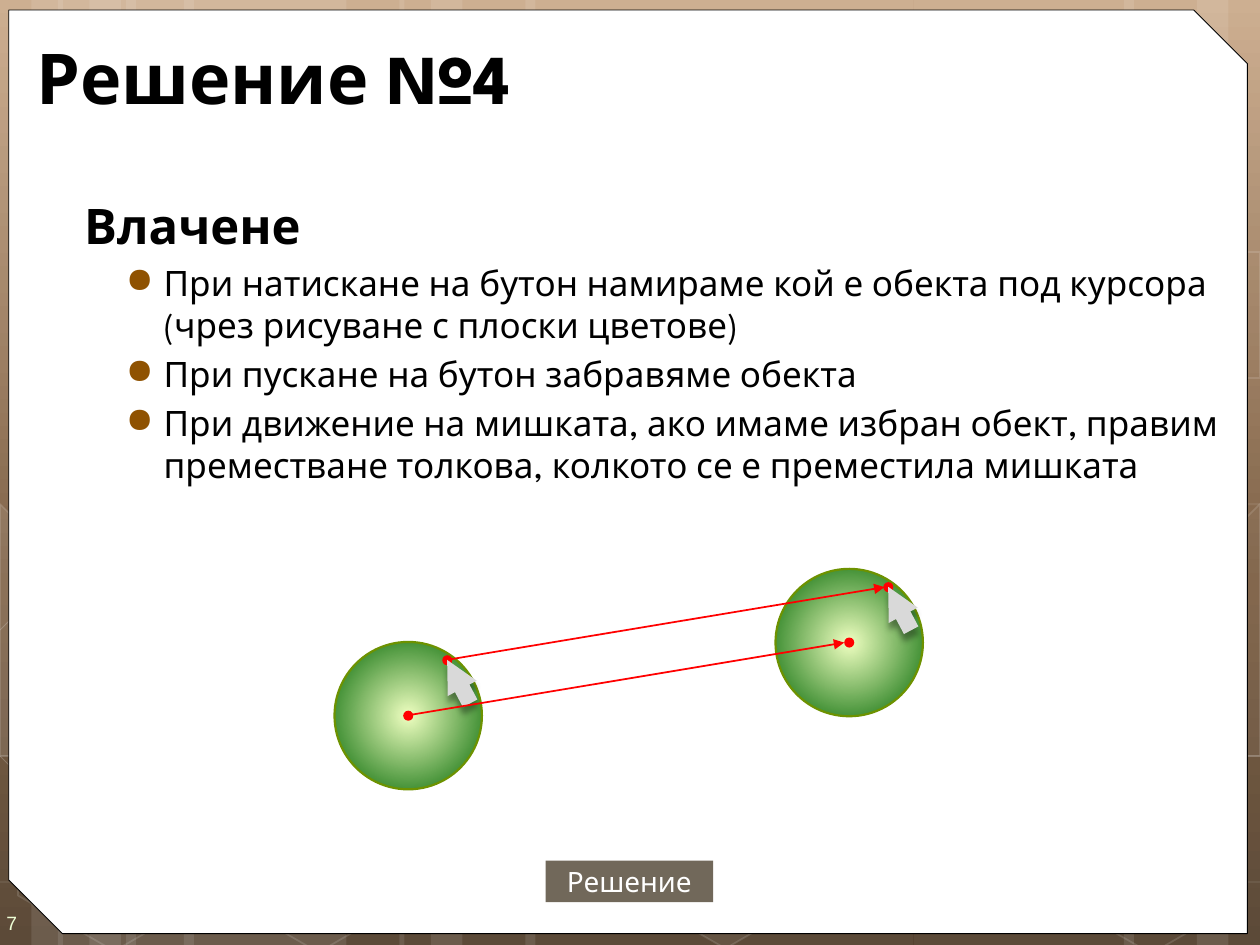
from dataclasses import dataclass
from lxml import etree
from pptx import Presentation
from pptx.dml.color import RGBColor
from pptx.enum.shapes import MSO_CONNECTOR, MSO_SHAPE
from pptx.enum.text import MSO_ANCHOR, PP_ALIGN
from pptx.oxml import parse_xml
from pptx.oxml.ns import qn
from pptx.util import Cm, Pt

RECTANGLE, OVAL, HEXAGON = MSO_SHAPE.RECTANGLE, MSO_SHAPE.OVAL, MSO_SHAPE.HEXAGON
SNIPPED, DOWN_ARROW = MSO_SHAPE.SNIP_2_DIAG_RECTANGLE, MSO_SHAPE.DOWN_ARROW
STRAIGHT = MSO_CONNECTOR.STRAIGHT
TOP, MIDDLE = MSO_ANCHOR.TOP, MSO_ANCHOR.MIDDLE
LEFT, CENTER = PP_ALIGN.LEFT, PP_ALIGN.CENTER
DRAWING = 'xmlns:a="http://schemas.openxmlformats.org/drawingml/2006/main"'

@dataclass(frozen=True)
class Theme:
    font: str = "League Spartan"
    number_font: str = "Arial"
    white: str = "FFFFFF"
    black: str = "000000"
    red: str = "FF0000"
    bullet: str = "8F5201"
    label: str = "71685A"
    number: str = "EEFFD6"
    pointer: str = "D9D9D9"
    ball_line: str = "6D9200"
    ball: tuple = ((0, "EFFFC1"), (100, "006600"))
    backdrop: tuple = ((0, "C8A685"), (62, "705032"), (100, "4A3622"))
    title_size: int = 40
    heading_size: int = 28
    body_size: int = 20
    label_size: int = 16
    number_size: int = 11

@dataclass(frozen=True)
class Hexagon:
    left: float
    top: float
    alpha: int = 0

@dataclass(frozen=True)
class Outline:
    points: tuple
    alpha: int = 0

THEME = Theme()
WIDTH, HEIGHT = 10, 7.5
# Backdrop: translucent bands (left, width), hexagons and curves
BANDS = ((1, 1.75), (0, 0.5), (0.25, 0.83), (1.46, 1.75), (0.46, 0.5), (0.71, 0.83),
         (7.25, 1.75), (9.5, 0.5), (8.92, 0.83), (4.17, 3.08), (3.17, 0.5), (3.42, 0.83))
HEXAGONS = (Hexagon(4.88, 5.89, 6), Hexagon(0.03, 5.91), Hexagon(1.65, 5.92), Hexagon(8.26, 5.93))
CUT_HEXAGONS = (
    Outline(((0, 4.45), (0.11, 4.38), (0.87, 4.82), (0.87, 5.7), (0.12, 6.14), (0, 6.07)), 10),
    Outline(((9.18, 4.85), (9.93, 4.41), (10, 4.46), (10, 6.13), (9.94, 6.17), (9.17, 5.73)), 4),
    Outline(((9.18, 2.07), (9.93, 1.63), (10, 1.68), (10, 3.35), (9.94, 3.39), (9.17, 2.95))),
)
CURVES = (
    ((0, 6.73), (1.82, 6.78), (4.5, 6.65), (7.83, 6.17), (10, 5.51)),
    ((0, 4.77), (1.13, 4.31), (3.39, 3.87), (6.46, 3.87), (10, 4.34)),
    ((0, 6.17), (1.2, 6.72), (2.39, 7.21), (3.26, 7.49)),
    ((0, 5.78), (1.2, 6.16), (3.48, 6.73), (6.2, 7.18), (8.44, 7.36), (9.37, 7.38), (10, 7.34)),
    ((2.34, 7.49), (2.94, 6.91), (3.79, 6.39), (4.61, 6.09), (6, 5.78), (7.86, 5.62),
     (9.44, 5.62), (10, 5.66)),
)
# Dragging: everything at the start is repeated at the end, moved by DRAG
DRAG = (3.5, -0.58)
BALL_CENTER, GRIP_CENTER, POINTER_CENTER = (3.24, 5.68), (3.55, 5.24), (3.64, 5.41)
BULLETS = (
    "При натискане на бутон намираме кой е обекта под курсора (чрез рисуване с плоски цветове)",
    "При пускане на бутон забравяме обекта",
    "При движение на мишката, ако имаме избран обект, правим преместване толкова, "
    "колкото се е преместила мишката",
)

def inches(value: float) -> Cm:
    return Cm(value * 2.54)

def gradient(fill, stops: tuple, direction: str) -> None:
    fill.solid()
    listed = "".join(f'<a:gs pos="{position * 1000}"><a:srgbClr val="{color}"/></a:gs>'
                     for position, color in stops)
    fill._xPr.replace(fill._xPr.find(qn("a:solidFill")), parse_xml(
        f'<a:gradFill {DRAWING} rotWithShape="1"><a:gsLst>{listed}</a:gsLst>{direction}</a:gradFill>'))

def paint(fill, color: str, alpha: int = 100) -> None:
    fill.solid()
    fill.fore_color.rgb = RGBColor.from_string(color)
    if alpha < 100:
        node = fill._xPr.find(qn("a:solidFill"))[0]
        etree.SubElement(node, qn("a:alpha")).set("val", str(alpha * 1000))

def style(shape, fill: str = "", alpha: int = 100, line: str = "", weight: float = 1,
          line_alpha: int = 100) -> None:
    shape.shadow.inherit = False
    if fill and alpha:
        paint(shape.fill, fill, alpha)
    else:
        shape.fill.background()
    if line:
        paint(shape.line.fill, line, line_alpha)
        shape.line.width = Pt(weight)
    else:
        shape.line.fill.background()

def add_preset(slide, kind, left: float, top: float, width: float, height: float, **look):
    shape = slide.shapes.add_shape(kind, *map(inches, (left, top, width, height)))
    style(shape, **look)
    return shape

def add_centered(slide, kind, center: tuple, width: float, height: float, **look):
    return add_preset(slide, kind, center[0] - width / 2, center[1] - height / 2,
                      width, height, **look)

def add_outline(slide, points: tuple, close: bool, **look) -> None:
    builder = slide.shapes.build_freeform(*points[0], scale=float(inches(1)))
    builder.add_line_segments(points[1:], close=close)
    style(builder.convert_to_shape(), line=THEME.white, **look)

def add_arrow(slide, start: tuple, end: tuple) -> None:
    arrow = slide.shapes.add_connector(STRAIGHT, *map(inches, (*start, *end)))
    paint(arrow.line.fill, THEME.red)
    arrow.line.width = Pt(1)
    etree.SubElement(arrow.line._get_or_add_ln(), qn("a:tailEnd")).set("type", "triangle")
    etree.SubElement(arrow._element.spPr, qn("a:effectLst"))

def prepare_frame(shape, anchor=TOP, insets: tuple = (0.1, 0.05, 0.1, 0.05)):
    frame = shape.text_frame
    frame.word_wrap, frame.vertical_anchor = True, anchor
    (frame.margin_left, frame.margin_top,
     frame.margin_right, frame.margin_bottom) = map(inches, insets)
    return frame

def write(paragraph, text: str, *, size: float, color: str = THEME.black, font: str = THEME.font,
          bold: bool = False, align=LEFT, before: float = 0, margin: float = 0,
          indent: float = 0, bullet: str = "") -> None:
    run = paragraph.add_run()
    run.text = text
    run.font.name, run.font.size, run.font.bold = font, Pt(size), bold
    run.font.color.rgb = RGBColor.from_string(color)
    paragraph.alignment, paragraph.space_before = align, Pt(before)
    properties = paragraph._p.get_or_add_pPr()
    properties.set("marL", str(inches(margin)))
    properties.set("indent", str(inches(indent)))
    if bullet:
        tint = etree.SubElement(properties, qn("a:buClr"))
        etree.SubElement(tint, qn("a:srgbClr")).set("val", THEME.bullet)
        etree.SubElement(properties, qn("a:buChar")).set("char", bullet)

def add_text_box(slide, left: float, top: float, width: float, height: float, **layout):
    box = slide.shapes.add_textbox(*map(inches, (left, top, width, height)))
    return prepare_frame(box, **layout)

def add_backdrop(slide) -> None:
    gradient(slide.background.fill, THEME.backdrop, '<a:lin ang="5400000" scaled="0"/>')
    for left, width in BANDS:
        add_preset(slide, RECTANGLE, left, 0, width, HEIGHT, fill=THEME.white, alpha=10)
    for points in CURVES:
        add_outline(slide, points, False, weight=0.5, line_alpha=20)
    for item in HEXAGONS:
        shape = add_preset(slide, HEXAGON, item.left, item.top, 1.75, 1.52, fill=THEME.white,
                           alpha=item.alpha, line=THEME.white, line_alpha=12)
        shape.adjustments[0], shape.rotation = 0.285, 30
    for item in CUT_HEXAGONS:
        add_outline(slide, item.points, True, fill=THEME.white, alpha=item.alpha, line_alpha=12)
    panel = add_preset(slide, SNIPPED, 0.07, 0.08, 9.83, 7.33, fill=THEME.white,
                       line=THEME.black, weight=0.5)
    panel.adjustments[0], panel.adjustments[1] = 0, 0.058

def add_texts(slide) -> None:
    number = add_text_box(slide, 0, 7.1, 0.58, 0.4, anchor=MIDDLE, insets=(0.05, 0.15, 0, 0.1))
    write(number.paragraphs[0], "7", size=THEME.number_size, color=THEME.number,
          font=THEME.number_font)
    title = add_text_box(slide, 0.19, 0.25, 9.47, 0.71, anchor=MIDDLE)
    write(title.paragraphs[0], "Решение №4", size=THEME.title_size, bold=True)
    body = add_text_box(slide, 0.5, 1.5, 9.42, 5.92)
    write(body.paragraphs[0], "Влачене", size=THEME.heading_size, bold=True,
          before=THEME.heading_size * 0.2, margin=0.07)
    for text in BULLETS:
        write(body.add_paragraph(), text, size=THEME.body_size, before=THEME.body_size * 0.2,
              margin=0.7, indent=-0.3, bullet="●")
    label = add_preset(slide, RECTANGLE, 4.33, 6.83, 1.33, 0.33, fill=THEME.label)
    frame = prepare_frame(label, anchor=MIDDLE, insets=(0, 0.05, 0, 0.05))
    write(frame.paragraphs[0], "Решение", size=THEME.label_size, color=THEME.white, align=CENTER)

def dragged(point: tuple) -> tuple:
    return point[0] + DRAG[0], point[1] + DRAG[1]

def add_dot(slide, center: tuple) -> None:
    add_centered(slide, OVAL, center, 0.08, 0.08, fill=THEME.red)

def add_pointer(slide, center: tuple) -> None:
    pointer = add_centered(slide, DOWN_ARROW, center, 0.26, 0.39, fill=THEME.pointer)
    pointer.adjustments[0], pointer.adjustments[1] = 0.5, 0.982
    pointer.rotation = 152.1
    pointer._element.spPr.find(qn("a:effectLst")).append(parse_xml(
        f'<a:outerShdw {DRAWING} blurRad="{Pt(3.5)}" dist="{Pt(4)}" dir="5400000" rotWithShape="0">'
        f'<a:srgbClr val="{THEME.black}"><a:alpha val="34000"/></a:srgbClr></a:outerShdw>'))

def add_dragging(slide) -> None:
    ball_centers = (BALL_CENTER, dragged(BALL_CENTER))
    for center in ball_centers:
        ball = add_centered(slide, OVAL, center, 1.17, 1.17, line=THEME.ball_line, weight=1.25)
        gradient(ball.fill, THEME.ball, '<a:path path="circle"><a:fillToRect l="50000" '
                 't="50000" r="50000" b="50000"/></a:path>')
    add_arrow(slide, (3.53, 5.24), (7.02, 4.66))
    for move in (dragged, tuple):
        add_dot(slide, move(GRIP_CENTER))
        add_pointer(slide, move(POINTER_CENTER))
    for center in ball_centers:
        add_dot(slide, center)
    add_arrow(slide, (3.22, 5.68), (6.7, 5.1))

presentation = Presentation()
presentation.slide_width, presentation.slide_height = inches(WIDTH), inches(HEIGHT)
main_slide = presentation.slides.add_slide(presentation.slide_layouts[6])
for add_part in (add_backdrop, add_texts, add_dragging):
    add_part(main_slide)
presentation.save("out.pptx")
